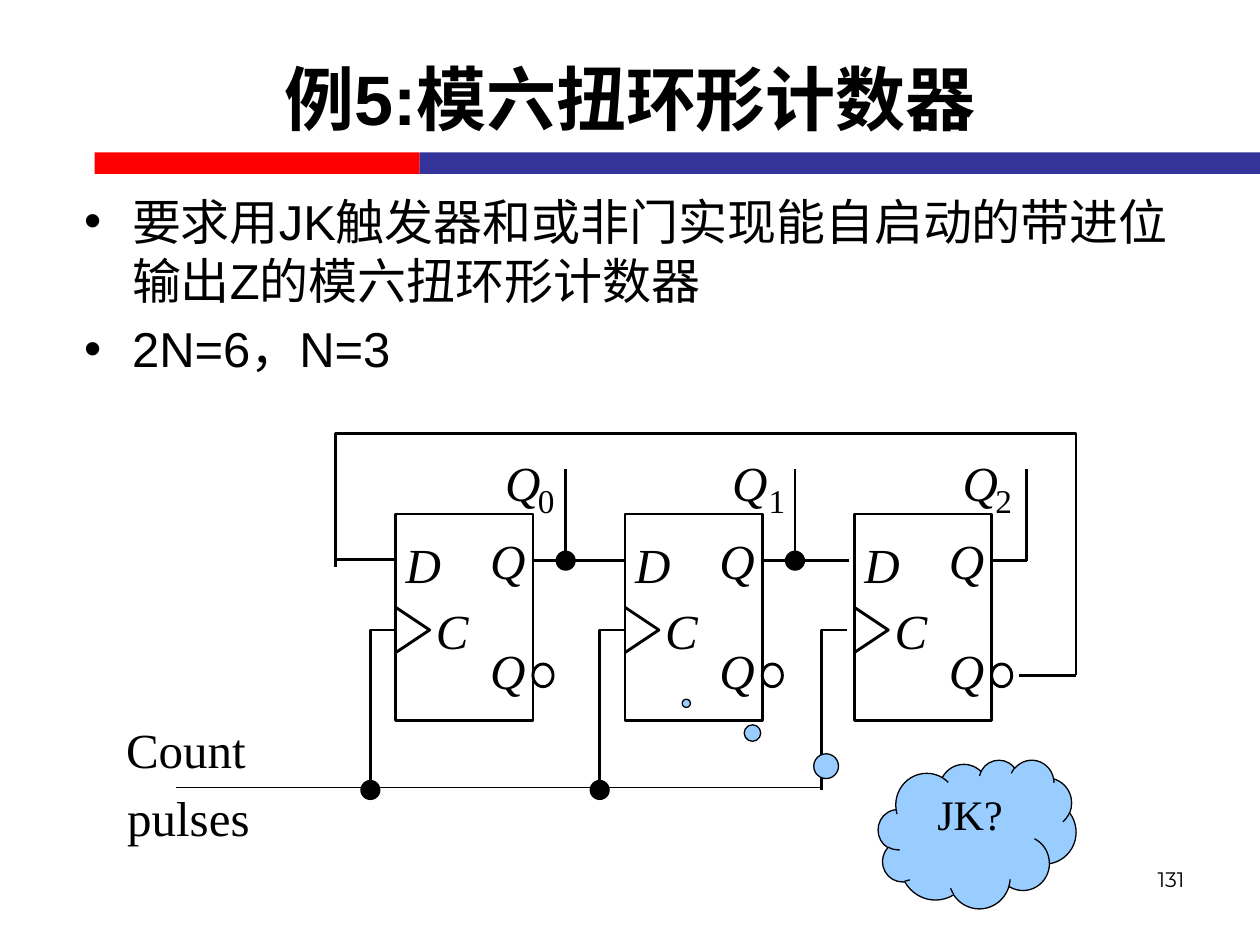
from dataclasses import dataclass

from lxml import etree
from pptx import Presentation
from pptx.dml.color import RGBColor
from pptx.enum import shapes, text
from pptx.oxml import ns
from pptx.util import Inches, Pt


@dataclass(frozen=True)
class Theme:
    black: RGBColor = RGBColor(0, 0, 0)
    white: RGBColor = RGBColor(255, 255, 255)
    red: RGBColor = RGBColor(255, 0, 0)
    navy: RGBColor = RGBColor(0x33, 0x33, 0x99)
    sky: RGBColor = RGBColor(0x99, 0xCC, 0xFF)
    sans: str = "Arial"
    serif: str = "Times New Roman"
    number_font: str = "Montserrat"
    title_size: float = 40
    body_size: float = 28
    callout_size: float = 24
    subscript_size: float = 19
    number_size: float = 12
    wire: float = 1.63
    thin: float = 0.75


@dataclass(frozen=True)
class Stage:
    """One flip-flop: its left edge, clock wire, and output tap with label."""
    index: str
    left: float
    clock_x: float
    clock_end: float
    tap_x: float
    label_x: float
    digit_x: float
    wire_end: float
    joined: bool


Point = tuple[float, float]
THEME = Theme()
STAGES = [
    Stage("0", 3.14, 2.94, 3.14, 4.49, 4.01, 4.27, 4.96, True),
    Stage("1", 4.96, 4.76, 4.96, 6.31, 5.81, 6.10, 6.74, True),
    Stage("2", 6.78, 6.52, 6.72, 8.15, 7.64, 7.90, 8.15, False),
]
STAGE_TOP, STAGE_WIDTH, STAGE_HEIGHT = 4.08, 1.09, 1.64
DATA_Y, CLOCK_Y, INVERTED_Y, BUS_Y = 4.45, 5.0, 5.36, 6.27
DOT = 0.16


def add_run(paragraph, words: str, size: float, font: str,
            bold: bool = False, italic: bool = False) -> None:
    run = paragraph.add_run()
    run.text = words
    run.font.size = Pt(size)
    run.font.name = font
    run.font.bold = bold
    run.font.italic = italic
    run.font.color.rgb = THEME.black


def add_frame(slide, left: float, top: float, width: float, height: float):
    frame = slide.shapes.add_textbox(
        Inches(left), Inches(top), Inches(width), Inches(height)).text_frame
    frame.word_wrap = True
    return frame


def add_label(slide, words: str, left: float, top: float, width: float = 0.28,
              size: float = THEME.body_size, italic: bool = True) -> None:
    """Diagram lettering without margins or wrapping."""
    frame = add_frame(slide, left, top, width, size / 60)
    frame.word_wrap = False
    frame.auto_size = text.MSO_AUTO_SIZE.SHAPE_TO_FIT_TEXT
    frame.margin_left = frame.margin_right = 0
    frame.margin_top = frame.margin_bottom = 0
    add_run(frame.paragraphs[0], words, size, THEME.serif, italic=italic)


def style(shape, fill: RGBColor | None, line: float | None) -> None:
    shape.shadow.inherit = False
    if fill is None:
        shape.fill.background()
    else:
        shape.fill.solid()
        shape.fill.fore_color.rgb = fill
    if line is None:
        shape.line.fill.background()
    else:
        shape.line.color.rgb = THEME.black
        shape.line.width = Pt(line)


def add_block(slide, kind, left: float, top: float, width: float, height: float,
              fill: RGBColor | None = None, line: float | None = None):
    block = slide.shapes.add_shape(
        kind, Inches(left), Inches(top), Inches(width), Inches(height))
    style(block, fill, line)
    return block


def add_line(slide, start: Point, end: Point, width: float = THEME.wire) -> None:
    line = slide.shapes.add_connector(
        shapes.MSO_CONNECTOR.STRAIGHT, *map(Inches, start), *map(Inches, end))
    line.line.color.rgb = THEME.black
    line.line.width = Pt(width)
    etree.SubElement(line._element.spPr, ns.qn("a:effectLst"))


def add_bent_wire(slide, points: list[Point]) -> None:
    first, *rest = [(Inches(x), Inches(y)) for x, y in points]
    builder = slide.shapes.build_freeform(*first)
    builder.add_line_segments(rest, close=False)
    style(builder.convert_to_shape(), None, THEME.wire)


def add_dot(slide, x: float, y: float) -> None:
    add_block(slide, shapes.MSO_SHAPE.OVAL, x - DOT / 2, y - DOT / 2, DOT, DOT,
              THEME.black)


def add_bullet(paragraph, words: str) -> None:
    props = paragraph._p.get_or_add_pPr()
    props.set("marL", str(Inches(0.38)))
    props.set("indent", str(Inches(-0.38)))
    etree.SubElement(props, ns.qn("a:buFont")).set("typeface", THEME.sans)
    etree.SubElement(props, ns.qn("a:buChar")).set("char", "•")
    add_run(paragraph, words, THEME.body_size, THEME.sans)


def draw_stage(slide, stage: Stage) -> None:
    left, right = stage.left, stage.left + STAGE_WIDTH
    add_block(slide, shapes.MSO_SHAPE.RECTANGLE, left, STAGE_TOP,
              STAGE_WIDTH, STAGE_HEIGHT, line=THEME.wire)
    add_label(slide, "D", left + 0.08, 4.24)
    add_label(slide, "Q", left + 0.75, 4.21)
    add_label(slide, "Q", left + 0.75, 5.08)
    add_label(slide, "C", left + 0.32, 4.77, 0.26)
    add_block(slide, shapes.MSO_SHAPE.OVAL, right, INVERTED_Y - 0.09, 0.16, 0.18,
              THEME.white, THEME.wire)
    add_bent_wire(slide, [(left, CLOCK_Y + 0.18), (left + 0.27, CLOCK_Y),
                          (left, CLOCK_Y - 0.18)])
    add_bent_wire(slide, [(stage.clock_x, BUS_Y), (stage.clock_x, CLOCK_Y),
                          (stage.clock_end, CLOCK_Y)])
    add_line(slide, (right, DATA_Y), (stage.wire_end, DATA_Y))
    add_line(slide, (stage.tap_x, DATA_Y), (stage.tap_x, 3.72))
    if stage.joined:
        add_dot(slide, stage.tap_x, DATA_Y)
        add_dot(slide, stage.clock_x, BUS_Y)
    add_label(slide, "Q", stage.label_x, 3.59)
    add_label(slide, stage.index, stage.digit_x, 3.81, 0.13,
              THEME.subscript_size, italic=False)


def draw_circuit(slide) -> None:
    for stage in STAGES:
        draw_stage(slide, stage)
    add_line(slide, (2.66, 4.44), (3.14, 4.44))
    add_line(slide, (8.09, INVERTED_Y), (8.54, INVERTED_Y))
    add_bent_wire(slide, [(8.54, INVERTED_Y), (8.54, 3.44), (2.66, 3.44), (2.66, 4.5)])
    add_line(slide, (6.52, 6.25), (1.4, 6.25), THEME.thin)
    add_label(slide, "Count", 1.0, 5.71, 0.95, italic=False)
    add_label(slide, "pulses", 1.01, 6.25, 0.98, italic=False)


def draw_callout(slide) -> None:
    cloud = add_block(slide, shapes.MSO_SHAPE.CLOUD_CALLOUT, 6.97, 6.03, 1.57, 1.18,
                      THEME.sky, THEME.thin)
    cloud.adjustments[0], cloud.adjustments[1] = -1.47, -0.88
    cloud.text_frame.vertical_anchor = text.MSO_ANCHOR.TOP
    question = cloud.text_frame.paragraphs[0]
    question.alignment = text.PP_ALIGN.CENTER
    add_run(question, "JK?", THEME.callout_size, THEME.serif)


def draw_texts(slide) -> None:
    heading = add_frame(slide, 0.5, 0.15, 9, 1.25)
    heading.vertical_anchor = text.MSO_ANCHOR.MIDDLE
    heading.paragraphs[0].alignment = text.PP_ALIGN.CENTER
    add_run(heading.paragraphs[0], "例5:模六扭环形计数器", THEME.title_size, THEME.sans, bold=True)

    task = add_frame(slide, 0.57, 1.47, 8.93, 4.76)
    add_bullet(task.paragraphs[0], "要求用JK触发器和或非门实现能自启动的带进位输出Z的模六扭环形计数器")
    modulus = task.add_paragraph()
    modulus.space_before = Pt(5.6)
    add_bullet(modulus, "2N=6，N=3")

    page = add_frame(slide, 7.17, 6.83, 2.33, 0.52).paragraphs[0]
    page.alignment = text.PP_ALIGN.RIGHT
    add_run(page, "131", THEME.number_size, THEME.number_font)


def main() -> None:
    deck = Presentation()
    deck.slide_width, deck.slide_height = Inches(10), Inches(7.5)
    slide = deck.slides.add_slide(deck.slide_layouts[6])
    for left, width, color in [(0.75, 2.58, THEME.red), (3.33, 6.67, THEME.navy)]:
        add_block(slide, shapes.MSO_SHAPE.RECTANGLE, left, 1.21, width, 0.17, color)
    draw_texts(slide)
    draw_circuit(slide)
    draw_callout(slide)
    deck.save("out.pptx")


if __name__ == "__main__":
    main()
